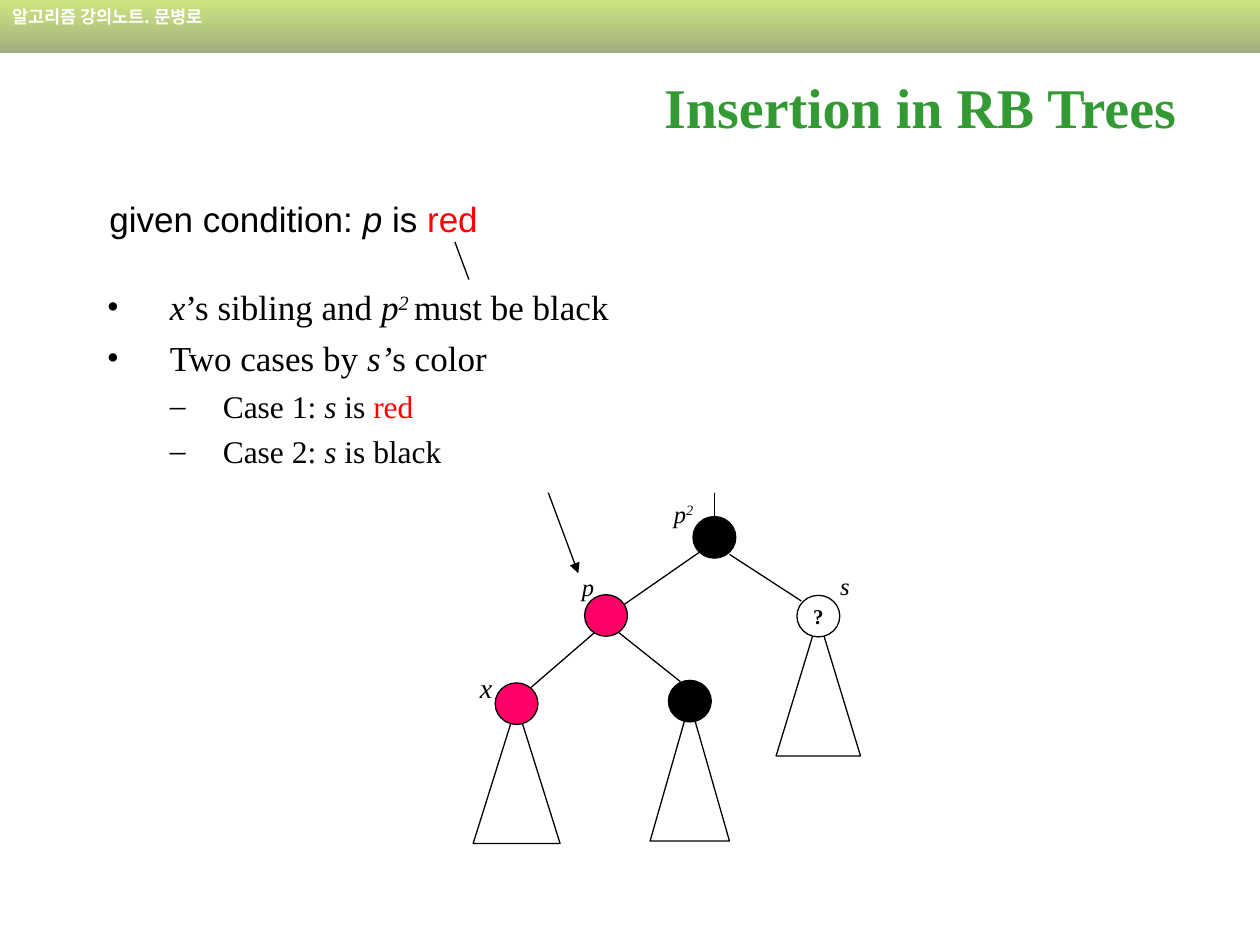
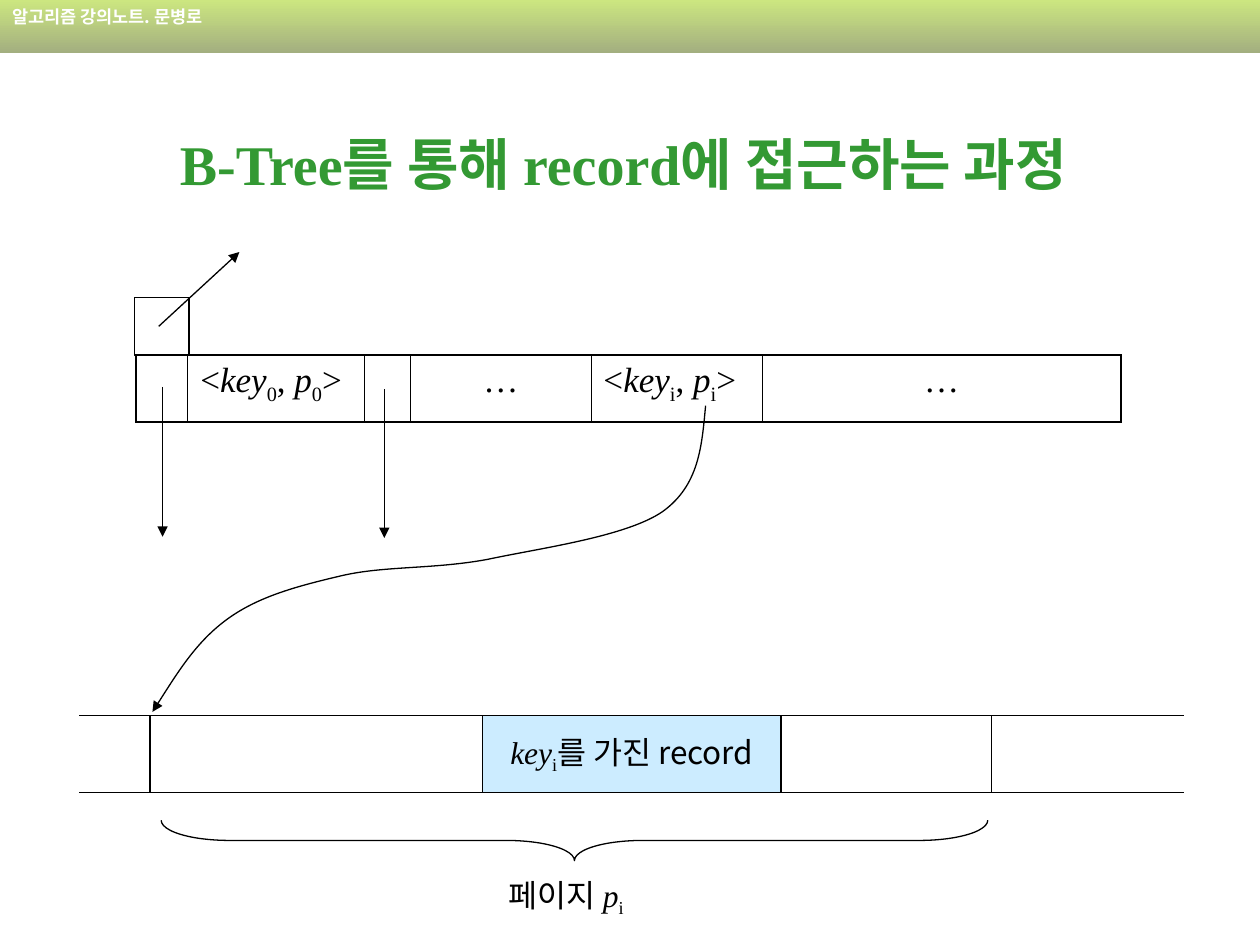
"""Builds two algorithm lecture slides: red-black insertion and B-tree record access."""
from dataclasses import dataclass

from lxml import etree
from pptx import Presentation
from pptx import util as u
from pptx.dml.color import RGBColor
from pptx.enum import shapes, text
from pptx.oxml import ns

COLUMNS, ROWS = 100, 75
CELL = u.Inches(10) // COLUMNS


@dataclass(frozen=True)
class Theme:
    """Colours, fonts and type sizes shared by the slides."""
    ink: str = "000000"
    paper: str = "FFFFFF"
    title: str = "339933"
    alert: str = "FF0000"
    red_node: str = "FF0066"
    record: str = "CCECFF"
    band_top: str = "CCE680"
    band_bottom: str = "A3AF80"
    serif: str = "Times New Roman"
    sans: str = "Arial"
    korean: str = "Noto Sans CJK KR"
    header_size: float = 10
    mark_size: float = 12
    label_size: float = 14
    child_size: float = 16
    case_size: float = 18
    body_size: float = 20
    title_size: float = 32
    hairline: float = 0.45
    line: float = 0.75
    frame: float = 1.08


THEME = Theme()
LEFT, CENTER = text.PP_ALIGN.LEFT, text.PP_ALIGN.CENTER


def grid(*cells):
    """Turn grid columns and rows into slide lengths."""
    return [u.Emu(round(cell * CELL)) for cell in cells]


def rgb(colour):
    """Read a hex colour."""
    return RGBColor.from_string(colour)


def add_xml(parent, tag, **attributes):
    """Append a drawing element with attributes."""
    child = etree.SubElement(parent, ns.qn(tag))
    for name, value in attributes.items():
        child.set(name, str(value))
    return child


def add_runs(paragraph, runs, size, font=THEME.serif, colour=THEME.ink):
    """Add (text, marks) runs; marks are i, b, r(ed), k(orean), ^ and _."""
    for words, marks in runs:
        run = paragraph.add_run()
        run.text = words
        run.font.size = u.Pt(size)
        run.font.italic = "i" in marks
        run.font.bold = "b" in marks
        run.font.color.rgb = rgb(THEME.alert if "r" in marks else colour)
        run.font.name = THEME.korean if "k" in marks else font
        props = run.font._element
        add_xml(props, "a:ea", typeface=THEME.korean)
        if "^" in marks:
            props.set("baseline", "30000")
        if "_" in marks:
            props.set("baseline", "-25000")


def add_label(slide, box, runs, size, wrap=False, align=LEFT, middle=False, **style):
    """Place a one-line text box."""
    frame = slide.shapes.add_textbox(*grid(*box)).text_frame
    frame.word_wrap = wrap
    if middle:
        frame.vertical_anchor = text.MSO_ANCHOR.MIDDLE
    frame.paragraphs[0].alignment = align
    add_runs(frame.paragraphs[0], runs, size, **style)


def add_title(slide, box, words):
    """Place the slide title."""
    add_label(slide, box, [(words, "b")], THEME.title_size, wrap=True,
              align=CENTER, middle=True, colour=THEME.title)


def paint(shape, fill=None, outline=THEME.ink):
    """Set the fill and line of a shape and drop its shadow."""
    shape.shadow.inherit = False
    if fill:
        shape.fill.solid()
        shape.fill.fore_color.rgb = rgb(fill)
    else:
        shape.fill.background()
    if outline:
        shape.line.color.rgb = rgb(outline)
        shape.line.width = u.Pt(THEME.line)
    else:
        shape.line.fill.background()


def add_figure(slide, kind, box, fill=None, outline=THEME.ink):
    """Place a painted preset shape."""
    figure = slide.shapes.add_shape(kind, *grid(*box))
    paint(figure, fill, outline)
    return figure


def add_centred(shape, runs, size):
    """Write centred text in a shape."""
    frame = shape.text_frame
    frame.word_wrap = False
    frame.vertical_anchor = text.MSO_ANCHOR.MIDDLE
    frame.paragraphs[0].alignment = CENTER
    add_runs(frame.paragraphs[0], runs, size)


def add_arrowhead(shape):
    """Put a triangle at the end of a line."""
    add_xml(shape.line._get_or_add_ln(), "a:tailEnd", type="triangle")


def add_line(slide, ends, arrow=False):
    """Draw a straight line, with an arrowhead if asked."""
    line = slide.shapes.add_connector(shapes.MSO_CONNECTOR.STRAIGHT, *grid(*ends))
    line.line.color.rgb = rgb(THEME.ink)
    line.line.width = u.Pt(THEME.line)
    if arrow:
        add_arrowhead(line)
    add_xml(line._element.spPr, "a:effectLst")


def add_curve(slide, points):
    """Draw a chain of cubic curves ending in an arrowhead."""
    start, *others = [grid(*point) for point in points]
    builder = slide.shapes.build_freeform(*start, scale=1.0)
    builder.add_line_segments(others, close=False)
    curve = builder.convert_to_shape()
    paint(curve)
    add_arrowhead(curve)
    outline = curve._element.spPr.find(".//" + ns.qn("a:path"))
    steps = outline.findall(ns.qn("a:lnTo"))
    for first in range(0, len(steps), 3):
        bend = add_xml(outline, "a:cubicBezTo")
        for step in steps[first:first + 3]:
            bend.append(step[0])
            outline.remove(step)


def add_bullets(slide, box, items):
    """Write a two-level bulleted list on a white panel."""
    panel = add_figure(slide, shapes.MSO_SHAPE.RECTANGLE, box, THEME.paper, None)
    frame = panel.text_frame
    frame.word_wrap = True
    frame.vertical_anchor = text.MSO_ANCHOR.TOP
    levels = [("•", 5, 5, THEME.body_size, 5), ("–", 9.2, 4.2, THEME.case_size, 4.5)]
    for index, (level, runs) in enumerate(items):
        mark, margin, hang, size, gap = levels[level]
        item = frame.add_paragraph() if index else frame.paragraphs[0]
        item.alignment = LEFT
        item.level = level
        if index:
            item.space_before = u.Pt(gap)
        props = item._p.get_or_add_pPr()
        props.set("marL", str(grid(margin)[0]))
        props.set("indent", str(-grid(hang)[0]))
        add_xml(add_xml(props, "a:buClr"), "a:srgbClr", val=THEME.ink)
        add_xml(props, "a:buFont", typeface=THEME.serif)
        add_xml(props, "a:buChar", char=mark)
        add_runs(item, runs, size)


def add_border(cell, side, width):
    """Draw one side of a table cell."""
    edge = add_xml(cell._tc.get_or_add_tcPr(), "a:ln" + side, w=u.Pt(width))
    add_xml(add_xml(edge, "a:solidFill"), "a:srgbClr", val=THEME.ink)


def add_node_table(slide, left, top, height, widths, contents):
    """Draw a B-tree node as a one-row table."""
    table = slide.shapes.add_table(
        1, len(widths), *grid(left, top, sum(widths), height)).table
    table.first_row = table.horz_banding = False
    table.rows[0].height = grid(height)[0]
    last = len(widths) - 1
    for index, (width, (align, runs)) in enumerate(zip(widths, contents)):
        table.columns[index].width = grid(width)[0]
        cell = table.cell(0, index)
        add_border(cell, "L", THEME.hairline if index else THEME.frame)
        add_border(cell, "R", THEME.hairline if index < last else THEME.frame)
        for side in "TB":
            add_border(cell, side, THEME.frame)
        cell.fill.background()
        cell.text_frame.paragraphs[0].alignment = align
        add_runs(cell.text_frame.paragraphs[0], runs, THEME.body_size)


def add_tree_node(slide, x, y, fill, subtree=0):
    """Draw a round tree node, over a subtree triangle of a given width."""
    if subtree:
        add_figure(slide, shapes.MSO_SHAPE.ISOSCELES_TRIANGLE,
                   (x - subtree / 2, y + 0.1, subtree, 11))
    return add_figure(slide, shapes.MSO_SHAPE.OVAL,
                      (x - 1.7, y - 1.65, 3.4, 3.3), fill)


def add_lecture_slide(deck):
    """Start a blank slide with the lecture band."""
    slide = deck.slides.add_slide(deck.slide_layouts[6])
    band = add_figure(slide, shapes.MSO_SHAPE.RECTANGLE, (0, 0, COLUMNS, 4.2),
                      outline=None)
    band.fill.gradient()
    band.fill.gradient_angle = 270
    for stop, colour in zip(band.fill.gradient_stops, (THEME.band_top, THEME.band_bottom)):
        stop.color.rgb = rgb(colour)
    band.text_frame.vertical_anchor = text.MSO_ANCHOR.TOP
    header = band.text_frame.paragraphs[0]
    header.alignment = LEFT
    add_runs(header, [("알고리즘 강의노트. 문병로", "bk")], THEME.header_size,
             colour=THEME.paper)
    return slide


def build_insertion(deck):
    """Build the red-black tree insertion slide."""
    slide = add_lecture_slide(deck)
    add_title(slide, (46.1, 4.2, 53.9, 8.5), "Insertion in RB Trees")
    for edge in [(47.2, 50.2, 42.1, 54.6), (49.1, 50.2, 54, 54.1),
                 (57.9, 44, 63.6, 47.7), (55.7, 43.7, 49.5, 48),
                 (56.7, 41, 56.7, 37.2)]:
        add_line(slide, edge)
    add_tree_node(slide, 56.7, 42.65, THEME.ink)
    add_tree_node(slide, 48.1, 48.85, THEME.red_node)
    add_tree_node(slide, 41, 55.85, THEME.red_node, 6.9)
    add_tree_node(slide, 54.75, 55.65, THEME.ink, 6.3)
    unknown = add_tree_node(slide, 64.95, 48.9, THEME.paper, 6.7)
    add_centred(unknown, [("?", "b")], THEME.mark_size)
    add_label(slide, (37.1, 52.7, 3.5, 3.7), [("x", "i")], THEME.child_size)
    for left, top, runs in [(45.2, 44.9, [("p", "i")]),
                            (65.7, 44.8, [("s", "i")]),
                            (52.5, 39.1, [("p", "i"), ("2", "i^")])]:
        add_label(slide, (left, top, 4.5, 3.4), runs, THEME.label_size)
    add_label(slide, (7.7, 15.2, 34, 4.4),
              [("given condition: ", ""), ("p", "i"), (" is ", ""), ("red", "r")],
              THEME.body_size, font=THEME.sans)
    add_line(slide, (36.1, 19.2, 45.9, 45.5), arrow=True)
    add_bullets(slide, (7.5, 22.2, 85.4, 16.9), [
        (0, [("x", "i"), ("’s sibling and ", ""), ("p", "i"), ("2 ", "i^"),
             ("must be black", "")]),
        (0, [("Two cases by ", ""), ("s’", "i"), ("s color", "")]),
        (1, [("Case 1: ", ""), ("s ", "i"), ("is ", ""), ("red", "r")]),
        (1, [("Case 2: ", ""), ("s ", "i"), ("is black", "")])])


def key_pair(index):
    """Give the runs of a key and pointer pair."""
    return [("<", ""), ("key", "i"), (index, "_"), (", ", ""),
            ("p", "i"), (index, "_"), (">", "")]


def build_record_access(deck):
    """Build the B-tree record access slide."""
    slide = add_lecture_slide(deck)
    add_node_table(slide, 10.8, 28.2, 5.3, (4.1, 14, 3.7, 14.3, 13.6, 28.5), [
        (LEFT, []), (LEFT, key_pair("0")), (LEFT, []), (CENTER, [("…", "")]),
        (LEFT, key_pair("i")), (CENTER, [("…", "")])])
    add_figure(slide, shapes.MSO_SHAPE.RECTANGLE, (10.7, 23.6, 4.3, 4.6))
    for pointer in [(30.5, 30.9, 30.5, 42.7), (12.9, 30.7, 12.9, 42.6),
                    (12.6, 25.9, 19, 20)]:
        add_line(slide, pointer, arrow=True)

    disk_top, disk_height = 56.8, 6.1
    for y in (disk_top, disk_top + disk_height):
        add_line(slide, (6.3, y, 94, y))
    add_figure(slide, shapes.MSO_SHAPE.RECTANGLE, (11.9, disk_top, 66.8, disk_height))
    record = add_figure(slide, shapes.MSO_SHAPE.RECTANGLE,
                        (38.3, disk_top, 23.7, disk_height), THEME.record)
    add_centred(record, [("key", "i"), ("i", "_"), ("를 가진 record", "k")],
                THEME.case_size)
    add_label(slide, (39.4, 69, 13, 4.4),
              [("페이지 ", "k"), ("p", "i"), ("i", "_")], THEME.case_size)
    add_curve(slide, [
        (56, 32.2), (55.7, 35.4), (55.5, 38.5), (52.6, 40.6),
        (49.7, 42.6), (42.9, 43.5), (38.7, 44.4),
        (34.4, 45.2), (30.5, 44.9), (27.1, 45.7),
        (23.7, 46.5), (20.6, 47.3), (18.1, 49.1),
        (15.6, 50.9), (13.9, 53.7), (12.1, 56.5)])
    brace = add_figure(slide, shapes.MSO_SHAPE.LEFT_BRACE, (44, 33.9, 3.2, 65.6))
    brace.rotation = 270
    brace.adjustments[0] = 1.69
    add_title(slide, (7.5, 6.7, 85, 12.5), "B-Tree를 통해 record에 접근하는 과정 ")


def main():
    """Build and save the deck."""
    deck = Presentation()
    deck.slide_width, deck.slide_height = grid(COLUMNS, ROWS)
    build_insertion(deck)
    build_record_access(deck)
    deck.save("out.pptx")


if __name__ == "__main__":
    main()
